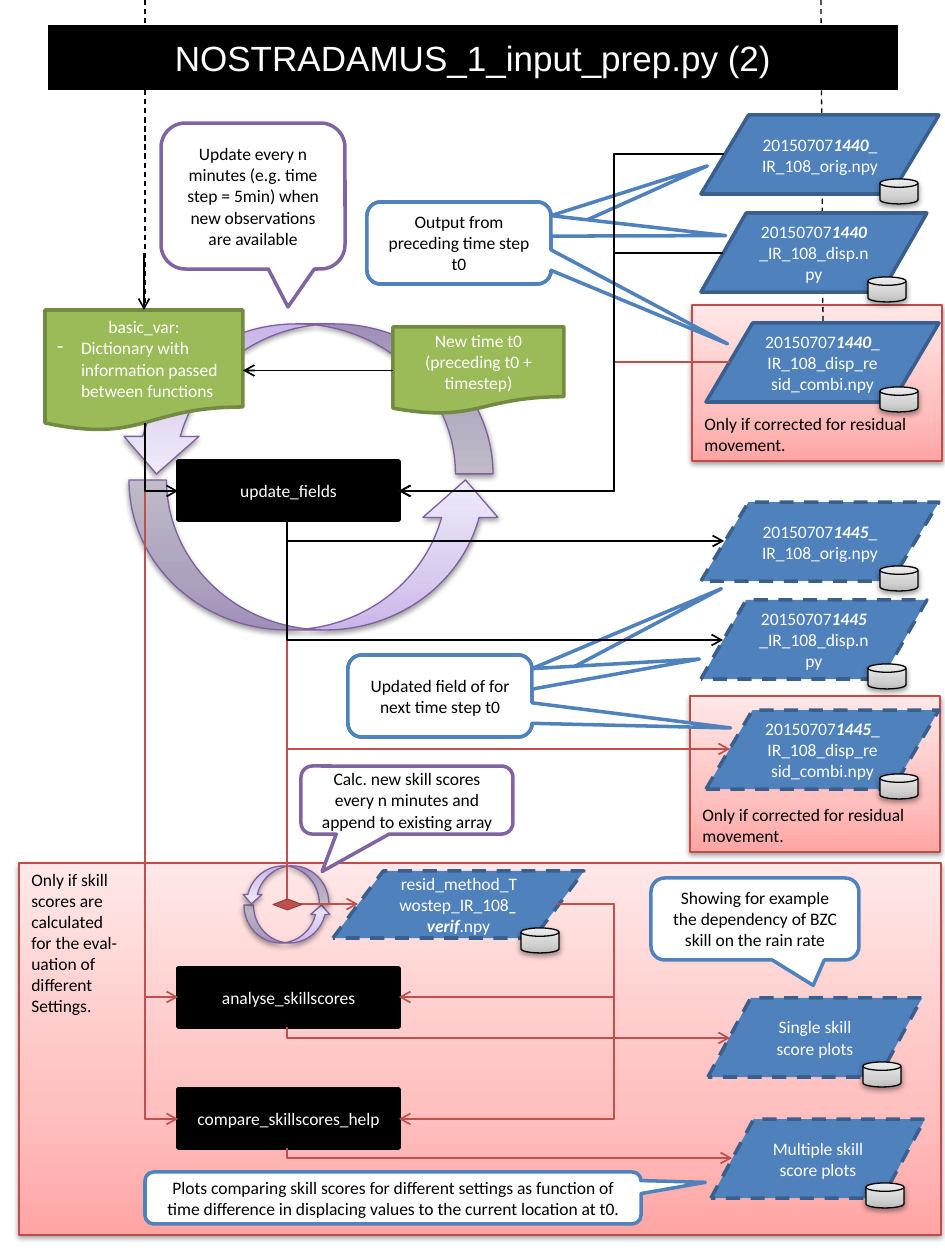
from copy import deepcopy

from pptx import Presentation, util as u
from pptx.dml.color import RGBColor
from pptx.enum import dml, shapes, text
from pptx.oxml import parse_xml
from pptx.oxml.ns import nsdecls, qn

PX = 914400 / 126
KIND = shapes.MSO_SHAPE
MID, TOP, LOW = (getattr(text.MSO_ANCHOR, n) for n in ("MIDDLE", "TOP", "BOTTOM"))
CENTER, LEFT = text.PP_ALIGN.CENTER, text.PP_ALIGN.LEFT

BLACK, WHITE, BLUE, RED, PURPLE = "000000", "FFFFFF", "4F81BD", "C0504D", "8064A2"
PINK = ("FFA6A5", "FFC0BF", "FFE7E7")
LILAC = ("C9B5E8", "D8CBEE", "F0EAF9")
GREY = ("BDBDBD", "D1D1D1", "EEEEEE")


def emu(*vals):
    return [u.Emu(round(v * PX)) for v in vals]


def rgb(code):
    return RGBColor.from_string(code)


def apply(obj, vals):
    for name, val in vals.items():
        setattr(obj, name, val)


def stroke(line, color, width, dash=False):
    line.color.rgb = rgb(color)
    line.width = u.Pt(width)
    if dash:
        line.dash_style = dml.MSO_LINE.DASH


def write(shape, lines, color=BLACK, anchor=MID, align=CENTER, size=10, font="Calibri"):
    """One paragraph per line; *stars* mark bold italic, a leading dash marks a bullet."""
    frame = shape.text_frame
    apply(frame, {"word_wrap": True, "vertical_anchor": anchor})
    for i, line in enumerate(lines):
        para = frame.paragraphs[0] if i == 0 else frame.add_paragraph()
        para.alignment = align
        if line.startswith("-"):
            line, para.alignment = line[1:], LEFT
            prop = para._p.get_or_add_pPr()
            prop.set("marL", "171450")
            prop.set("indent", "-171450")
            prop.append(parse_xml(f'<a:buChar {nsdecls("a")} char="-"/>'))
        for j, part in enumerate(line.split("*")):
            run = para.add_run()
            run.text = part
            apply(run.font, {"size": u.Pt(size), "name": font,
                             "bold": j % 2 == 1, "italic": j % 2 == 1})
            run.font.color.rgb = rgb(color)


def block(tree, kind, box, fill, edge, width=2, dash=False):
    shape = tree.add_shape(kind, *emu(*box))
    shape.shadow.inherit = False
    shape.fill.solid()
    shape.fill.fore_color.rgb = rgb(fill)
    stroke(shape.line, edge, width, dash)
    return shape


def shaded(tree, kind, box, tones, edge):
    """Block with a bottom-to-top gradient and a soft shadow."""
    shape = block(tree, kind, box, tones[0], edge, 0.75)
    shape.fill.gradient()
    shape.fill.gradient_angle = 90
    props = shape._element.spPr
    stops = props.find(".//" + qn("a:gsLst"))
    stops.append(deepcopy(stops[0]))
    for stop, tone, pos in zip(shape.fill.gradient_stops, tones, (0, 0.35, 1)):
        stop.color.rgb = rgb(tone)
        stop.position = pos
    props.find(qn("a:effectLst")).append(parse_xml(
        f'<a:outerShdw {nsdecls("a")} blurRad="40000" dist="20000" dir="5400000" rotWithShape="0">'
        '<a:srgbClr val="000000"><a:alpha val="38000"/></a:srgbClr></a:outerShdw>'))
    return shape


def panel(tree, box, lines, anchor):
    write(shaded(tree, KIND.RECTANGLE, box, PINK, "BF4C48"), lines, anchor=anchor, align=LEFT)


def ring(tree, box):
    """Two curved arrows that chase each other."""
    x, y, w, h = box
    shift, tall = round(w / 38), round(h * 0.49)
    group = tree.add_group_shape().shapes
    for left, top, flip in ((x + shift, y + h - tall, False), (x, y, True)):
        arrow = shaded(group, KIND.CURVED_UP_ARROW, (left, top, w - shift, tall), LILAC, "7D60A0")
        if flip:
            for name in ("flipH", "flipV"):
                arrow._element.spPr.xfrm.set(name, "1")


def data(tree, box, label, dash=True, gap=59, rise=15):
    """Data file with a small disk at its lower right."""
    x, y, w, h = box
    write(block(tree, KIND.FLOWCHART_DATA, box, BLUE, "3A5F8C", dash=dash), [label], WHITE)
    shaded(tree, KIND.FLOWCHART_MAGNETIC_DISK, (x + w - gap, y + h - rise, 38, 25), GREY, BLACK)


def step(tree, x, y, stamp, dash):
    """Three files of one time step."""
    for dx, dy, w, end in ((5, 208, 233, "disp_resid_combi"), (0, 0, 238, "orig"),
                           (0, 98, 226, "disp")):
        data(tree, (x + dx, y + dy, w, 79), f"20150707*{stamp}*_IR_108_{end}.npy", dash)


def callout(tree, box, color, label, *tips):
    """Bubbles stacked on one box, one per tip; the front one holds the label."""
    for tip in tips:
        bubble = block(tree, KIND.ROUNDED_RECTANGULAR_CALLOUT, box, WHITE, color)
        for i, val in enumerate((*tip, 0.167)):
            bubble.adjustments[i] = val
    write(bubble, [label])


def process(tree, box, name):
    write(block(tree, KIND.FLOWCHART_PROCESS, box, BLACK, BLACK), [name], WHITE)


def link(tree, kind, ends, color=BLACK, width=1, dash=False, head=True):
    wire = tree.add_connector(kind, *emu(*ends))
    stroke(wire.line, color, width, dash)
    if head:
        wire.line._get_or_add_ln().append(parse_xml(f'<a:tailEnd {nsdecls("a")} type="arrow"/>'))
    wire._element.spPr.append(parse_xml(f'<a:effectLst {nsdecls("a")}/>'))
    return wire


def straight(tree, ends, **look):
    return link(tree, shapes.MSO_CONNECTOR.STRAIGHT, ends, **look)


def corner(tree, x1, y1, x2, y2, color):
    """Down, then right: a one-bend connector turned by 270 degrees."""
    mx, my, dx, dy = (x1 + x2) / 2, (y1 + y2) / 2, x2 - x1, y2 - y1
    wire = link(tree, shapes.MSO_CONNECTOR.ELBOW,
                (mx + dy / 2, my - dx / 2, mx - dy / 2, my + dx / 2), color)
    props = wire._element.spPr
    props.find(qn("a:xfrm")).set("rot", "16200000")
    props.find(qn("a:prstGeom")).set("prst", "bentConnector2")


def detour(tree, x1, y1, x2, y2, color, via=614):
    """Across to the via column, along it, then across to the end."""
    wire = link(tree, shapes.MSO_CONNECTOR.ELBOW, (x1, y1, x2, y2), color)
    bend = round((via - x1) / (x2 - x1) * 100000)
    geom = wire._element.spPr.find(qn("a:prstGeom"))
    geom.get_or_add_avLst().append(
        parse_xml(f'<a:gd {nsdecls("a")} name="adj1" fmla="val {bend}"/>'))


def heading(slide, box, label):
    title = slide.shapes.title
    apply(title, dict(zip(("left", "top", "width", "height"), emu(*box))))
    title.fill.solid()
    title.fill.fore_color.rgb = rgb(BLACK)
    write(title, [label], WHITE, size=20, font="Arial")


def state(tree, x, y):
    """Variable store, fed by the new time."""
    store = block(tree, KIND.FLOWCHART_DOCUMENT, (x, y, 198, 121), "9BBB59", "738A42")
    write(store, ["basic_var:", "-Dictionary with information passed between functions"], WHITE)
    time = block(tree, KIND.FLOWCHART_DOCUMENT, (x + 348, y + 17, 171, 87), "9BBB59", "738A42")
    write(time, ["New time t0", "(preceding t0 + timestep)"], WHITE)
    straight(tree, (145, 0, 145, 305), width=0.75, dash=True, head=False)
    straight(tree, (x + 99, y - 57, x + 99, y)).end_connect(store, 0)
    wire = straight(tree, (x + 348, y + 60, x + 198, y + 60))
    wire.begin_connect(time, 1)
    wire.end_connect(store, 3)


def wires(tree):
    for ends in ((145, 423, 178, 997), (145, 423, 178, 1119), (287, 520, 730, 749),
                 (287, 520, 358, 904), (287, 1027, 730, 1038), (287, 1148, 732, 1158)):
        corner(tree, *ends, RED)
    for ends in ((557, 904, 399, 997), (557, 904, 399, 1119), (730, 362, 399, 491)):
        detour(tree, *ends, RED)
    block(tree, KIND.FLOWCHART_DECISION, (273, 899, 29, 11), RED, "8E3B39", 0.5)
    for ends in ((145, 423, 178, 491), (287, 520, 724, 541), (287, 520, 723, 640)):
        corner(tree, *ends, BLACK)
    for ends in ((724, 154, 399, 491), (723, 253, 399, 491)):
        detour(tree, *ends, BLACK)


def main():
    deck = Presentation()
    apply(deck, {"slide_width": u.Inches(7.5), "slide_height": u.Inches(10)})
    slide = deck.slides.add_slide(deck.slide_layouts[5])
    tree = slide.shapes
    heading(slide, (48, 25, 850, 65), "NOSTRADAMUS_1_input_prep.py (2)")

    # Optional parts and loops
    panel(tree, (19, 863, 922, 372), ["Only if skill", "scores are", "calculated", "for the eval-",
                                      "uation of", "different", "Settings."], TOP)
    for x, y in ((692, 305), (690, 696)):
        panel(tree, (x, y, 250, 156), ["Only if corrected for residual movement."], LOW)
    for box in ((242, 866, 89, 77), (119, 324, 384, 306)):
        ring(tree, box)
    straight(tree, (821, 0, 823, 323), width=0.75, dash=True, head=False)

    # Functions and files
    state(tree, 45, 310)
    for y, name in ((461, "update_fields"), (968, "analyse_skillscores"),
                    (1089, "compare_skillscores_help")):
        process(tree, (178, y, 221, 59), name)
    step(tree, 701, 115, "1440", False)
    step(tree, 701, 502, "1445", True)
    data(tree, (333, 871, 251, 67), "resid_method_Twostep_IR_108*_verif*.npy", gap=63, rise=10)
    data(tree, (708, 998, 214, 79), "Single skill score plots")
    data(tree, (711, 1119, 214, 79), "Multiple skill score plots")

    # Notes
    callout(tree, (367, 202, 184, 82), BLUE, "Output from preceding time step t0",
            (1.35, -0.94), (1.45, -0.09), (1.46, 1.23))
    callout(tree, (348, 655, 184, 82), BLUE, "Updated field of for next time step t0",
            (1.53, -1.31), (1.41, -0.45), (1.58, 0.39))
    callout(tree, (161, 123, 184, 146), PURPLE, "Update every n minutes (e.g. time step = 5min) "
            "when new observations are available", (0.19, 0.76))
    callout(tree, (301, 766, 212, 68), PURPLE, "Calc. new skill scores every n minutes and "
            "append to existing array", (-0.4, 1.05))
    callout(tree, (651, 878, 208, 82), BLUE, "Showing for example the dependency of BZC skill "
            "on the rain rate", (0.28, 0.81))
    callout(tree, (145, 1172, 496, 52), BLUE, "Plots comparing skill scores for different settings "
            "as function of time difference in displacing values to the current location at t0.",
            (0.63, -0.3))

    wires(tree)
    deck.save("out.pptx")


if __name__ == "__main__":
    main()
